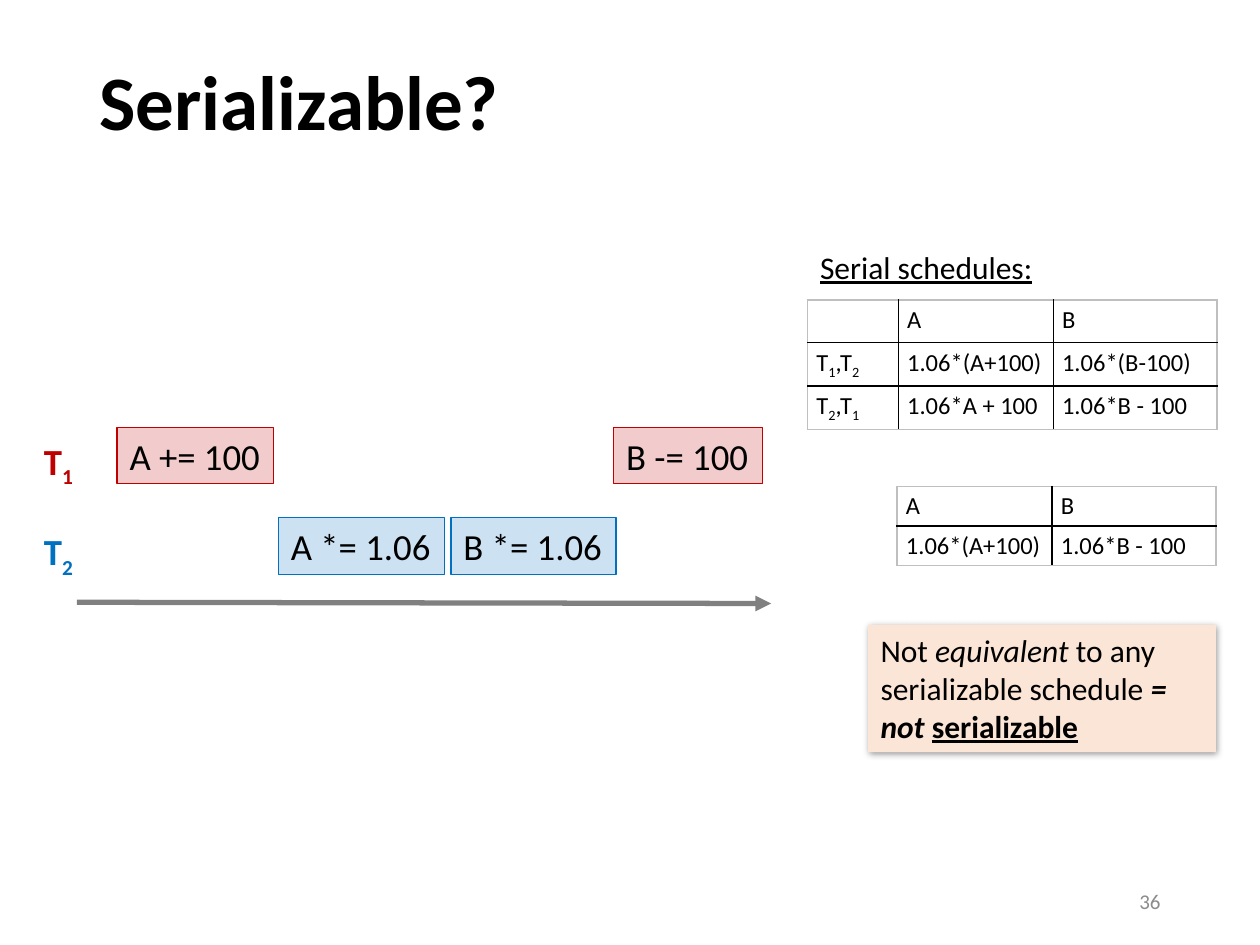
from lxml import etree
from pptx import Presentation, util as u
from pptx.dml.color import RGBColor
from pptx.enum import shapes, text
from pptx.oxml import ns, parse_xml

BLACK = RGBColor(0, 0, 0)
GRAY = RGBColor(0x80, 0x80, 0x80)
NUMBER_GRAY = RGBColor(0x8C, 0x8C, 0x8C)
EDGE_GRAY = RGBColor(0xBF, 0xBF, 0xBF)
RED = RGBColor(0xC0, 0, 0)
BLUE = RGBColor(0, 0x70, 0xC0)
PEACH = RGBColor(0xFB, 0xE5, 0xD6)

WIDTH, HEIGHT = u.Inches(10), u.Inches(7.5)
COLUMN, ROW = WIDTH / 100, HEIGHT / 75
SUB = {"baseline": "-25000"}
VALUE_COLUMNS = [12.3, 13]


def place(box, left=0, top=0, width=None, height=None):
    """Turn grid cells, counted from a box's corner, into lengths."""
    width = box[2] if width is None else width
    height = box[3] if height is None else height
    return (u.Emu(int((box[0] + left) * COLUMN)), u.Emu(int((box[1] + top) * ROW)),
            u.Emu(int(width * COLUMN)), u.Emu(int(height * ROW)))


def write(frame, runs, size=18, color=BLACK, bold=False, underline=False,
          align=text.PP_ALIGN.LEFT, anchor=text.MSO_ANCHOR.TOP, wrap=False, grow=True):
    """Fill a text frame with runs given as (text, run properties)."""
    sizes = text.MSO_AUTO_SIZE
    frame.word_wrap = wrap
    frame.auto_size = sizes.SHAPE_TO_FIT_TEXT if grow else sizes.NONE
    frame.vertical_anchor = anchor
    write_paragraph(frame.paragraphs[0], runs, size, color, bold, underline, align)


def write_paragraph(paragraph, runs, size, color=BLACK, bold=False, underline=False,
                    align=text.PP_ALIGN.LEFT):
    """Add formatted runs to one paragraph."""
    paragraph.alignment = align
    for words, properties in runs:
        run = paragraph.add_run()
        run.text = words
        run.font.name, run.font.size = "Calibri", u.Pt(size)
        run.font.bold, run.font.underline = bold, underline
        run.font.color.rgb = color
        for name, value in properties.items():
            run._r.get_or_add_rPr().set(name, value)


def add_rectangle(parent, position, fill, line=None, alpha=None):
    """Add a rectangle with a plain or translucent fill."""
    shape = parent.add_shape(shapes.MSO_SHAPE.RECTANGLE, *position)
    shape.shadow.inherit = False
    shape.fill.solid()
    shape.fill.fore_color.rgb = fill
    if alpha:
        color = shape._element.spPr.find(".//" + ns.qn("a:srgbClr"))
        etree.SubElement(color, ns.qn("a:alpha"), val=str(alpha * 1000))
    if line is None:
        shape.line.fill.background()
    else:
        shape.line.color.rgb, shape.line.width = line, u.Pt(0.75)
    return shape


def add_title(slide, box, title):
    """Place and format the slide title."""
    shape = slide.shapes.title
    shape.left, shape.top, shape.width, shape.height = place(box)
    write(shape.text_frame, [(title, {})], size=44, bold=True, wrap=True, grow=False,
          anchor=text.MSO_ANCHOR.MIDDLE)
    shape.text_frame.paragraphs[0].line_spacing = 0.9


def add_timeline(slide, box):
    """Draw the operations of both transactions above a time arrow."""
    group = slide.shapes.add_group_shape().shapes
    left, top, width, height = place(box, 3.6, 13.9, 55.1, 0.1)
    arrow = group.add_connector(shapes.MSO_CONNECTOR.STRAIGHT, left, top,
                                left + width, top + height)
    arrow.line.color.rgb, arrow.line.width = GRAY, u.Pt(3)
    etree.SubElement(arrow.line._get_or_add_ln(), ns.qn("a:tailEnd"), type="triangle")
    etree.SubElement(arrow._element.spPr, ns.qn("a:effectLst"))
    lanes = [("1", RED, 0, [("A += 100", 6.8, 12.4), ("B -= 100", 46.2, 11.8)]),
             ("2", BLUE, 7.2, [("A *= 1.06", 19.6, 13.2), ("B *= 1.06", 33.3, 13.1)])]
    for number, color, top, operations in lanes:
        label = group.add_textbox(*place(box, 0, top + 0.4, 4.4, 4.5))
        write(label.text_frame, [("T", {}), (number, SUB)], size=21, color=color, bold=True)
        for words, left, width in operations:
            shape = add_rectangle(group, place(box, left, top, width, 4.5), color, color, 20)
            write(shape.text_frame, [(words, {})], size=21)


def add_border(properties, index, side, color):
    """Give one side of a table cell a one-point line."""
    properties.insert(index, parse_xml(
        f'<a:{side} {ns.nsdecls("a")} w="12700"><a:solidFill>'
        f'<a:srgbClr val="{color}"/></a:solidFill></a:{side}>'))


def add_grid(slide, box, columns, rows):
    """Add a table with black inner lines and a gray edge."""
    table = slide.shapes.add_table(len(rows), len(columns), *place(box)).table
    table.first_row = table.horz_banding = False
    for column, width in zip(table.columns, columns):
        column.width = place(box, width=width)[2]
    for i, row in enumerate(rows):
        for j, runs in enumerate(row):
            cell = table.cell(i, j)
            cell.margin_left = cell.margin_right = u.Inches(0.07)
            cell.margin_top = cell.margin_bottom = u.Inches(0.04)
            cell.fill.background()
            paragraph = cell.text_frame.paragraphs[0]
            paragraph.font.size = u.Pt(14)
            write_paragraph(paragraph, runs, 14)
            edges = {"lnL": j == 0, "lnR": j == len(columns) - 1,
                     "lnT": i == 0, "lnB": i == len(rows) - 1}
            for index, (side, outer) in enumerate(edges.items()):
                add_border(cell._tc.get_or_add_tcPr(), index, side,
                           EDGE_GRAY if outer else BLACK)


def add_results(slide, box):
    """Compare the serial schedules with the result of this schedule."""
    caption = slide.shapes.add_textbox(*place(box, 0, 0, 18.9, 4))
    write(caption.text_frame, [("Serial schedules:", {})], underline=True)
    header = [[("A", {})], [("B", {})]]
    rows = [[[]] + header]
    for first, second, a, b in [("1", "2", "1.06*(A+100)", "1.06*(B-100)"),
                                ("2", "1", "1.06*A + 100", "1.06*B - 100")]:
        order = [("T", {}), (first, SUB), (",T", {}), (second, SUB)]
        rows.append([order, [(a, {})], [(b, {})]])
    left, top = box[:2]
    add_grid(slide, (left, top + 4.6, 32.5, 10.2), [7.2] + VALUE_COLUMNS, rows)
    result = [[("1.06*(A+100)", {})], [("1.06*B - 100", {})]]
    add_grid(slide, (left + 7.1, top + 19.4, 25.3, 6.2), VALUE_COLUMNS, [header, result])


def add_conclusion(slide, box):
    """Add the shadowed conclusion panel."""
    shape = add_rectangle(slide.shapes, place(box), PEACH)
    effects = shape._element.spPr.find(ns.qn("a:effectLst"))
    effects.append(parse_xml(
        f'<a:outerShdw {ns.nsdecls("a")} blurRad="50800" dist="12700" dir="2700000">'
        f'<a:srgbClr val="{BLACK}"><a:alpha val="40000"/></a:srgbClr></a:outerShdw>'))
    write(shape.text_frame, [("Not ", {}), ("equivalent", {"i": "1"}),
                             (" to any serializable schedule", {}),
                             (" = not ", {"b": "1", "i": "1"}),
                             ("serializable", {"b": "1", "u": "sng"})], wrap=True)


def add_number(slide, box, number):
    """Add the slide number."""
    shape = slide.shapes.add_textbox(*place(box))
    write(shape.text_frame, [(number, {})], size=12, color=NUMBER_GRAY, wrap=True, grow=False,
          align=text.PP_ALIGN.RIGHT, anchor=text.MSO_ANCHOR.MIDDLE)


def main():
    """Build and save the slide."""
    presentation = Presentation()
    presentation.slide_width, presentation.slide_height = WIDTH, HEIGHT
    slide = presentation.slides.add_slide(presentation.slide_layouts[5])
    add_title(slide, (6.9, 2.9, 86.2, 10.9), "Serializable?")
    add_number(slide, (70.6, 69.5, 22.5, 4), "36")
    add_timeline(slide, (2.5, 33.9, 58.7, 14))
    add_conclusion(slide, (68.9, 49.6, 27.6, 10.1))
    add_results(slide, (64.1, 19.2, 32.5, 25.6))
    presentation.save("out.pptx")


if __name__ == "__main__":
    main()
